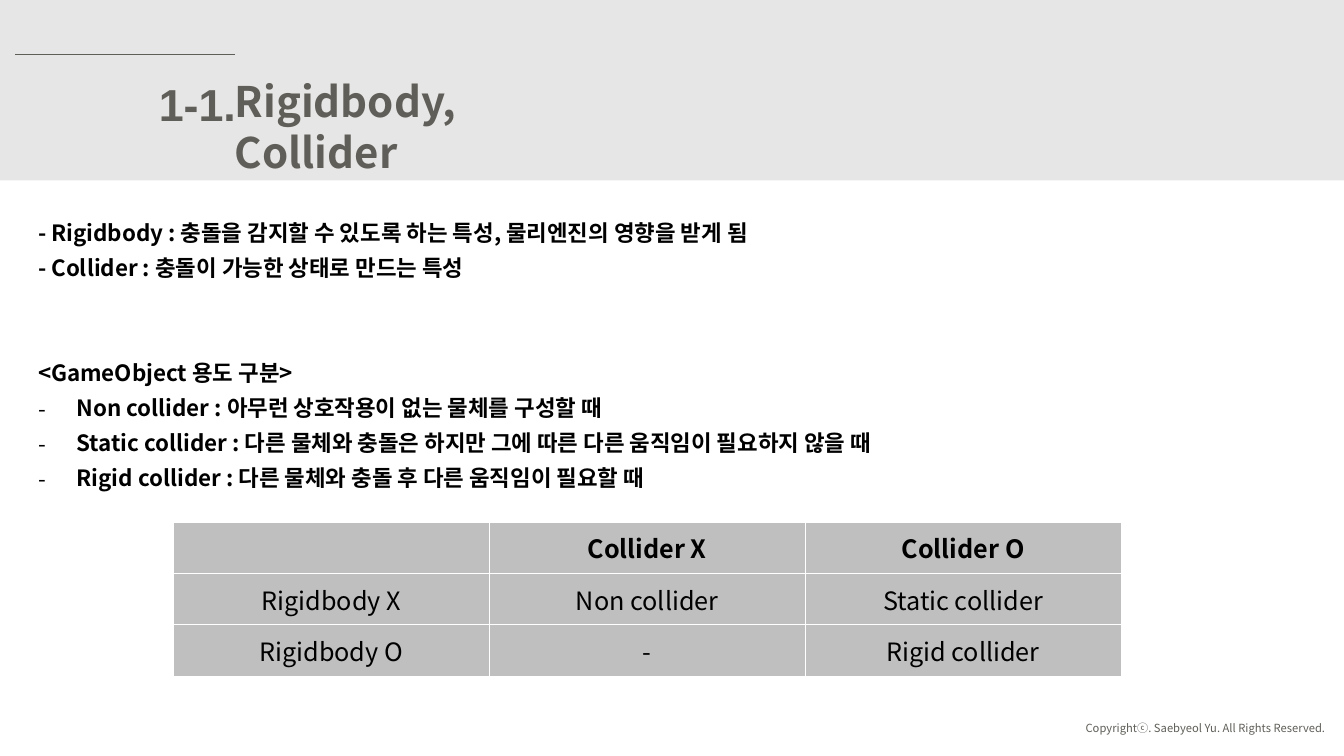
"""Builds the slide on Rigidbody and Collider."""
import pptx
import pptx.dml.color
import pptx.enum.shapes
import pptx.enum.text
import pptx.oxml
import pptx.oxml.ns
import pptx.util
from lxml import etree

Cm, Pt = pptx.util.Cm, pptx.util.Pt
RGBColor = pptx.dml.color.RGBColor
ALIGN = pptx.enum.text.PP_ALIGN
ANCHOR = pptx.enum.text.MSO_ANCHOR
AUTO_SIZE = pptx.enum.text.MSO_AUTO_SIZE
qn = pptx.oxml.ns.qn

HEADING = "Rigidbody, Collider"
NUMBER = "1-1."
COPYRIGHT = "Copyrightⓒ. Saebyeol Yu. All Rights Reserved."
DEFINITIONS = [
    "- Rigidbody : 충돌을 감지할 수 있도록 하는 특성, 물리엔진의 영향을 받게 됨",
    "- Collider : 충돌이 가능한 상태로 만드는 특성",
]
USES_HEADING = "<GameObject 용도 구분>"
USES = [
    "Non collider : 아무런 상호작용이 없는 물체를 구성할 때",
    "Static collider : 다른 물체와 충돌은 하지만 그에 따른 다른 움직임이 필요하지 않을 때",
    "Rigid collider : 다른 물체와 충돌 후 다른 움직임이 필요할 때",
]
MATRIX = [
    ["", "Collider X", "Collider O"],
    ["Rigidbody X", "Non collider", "Static collider"],
    ["Rigidbody O", "-", "Rigid collider"],
]

FONT = "Noto Sans CJK KR"
BLACK = RGBColor(0, 0, 0)
WHITE = RGBColor(0xFF, 0xFF, 0xFF)
STONE = RGBColor(0x5F, 0x5E, 0x58)
BAND_GRAY = RGBColor(0xE7, 0xE6, 0xE6)
CELL_GRAY = RGBColor(0xBF, 0xBF, 0xBF)
THIN, THICK = Pt(0.45), Pt(1.47)


def style(paragraph, size, color, align, bold=False, typeface=FONT):
    paragraph.alignment = align
    font = paragraph.font
    font.size, font.bold, font.name = Pt(size), bold, typeface
    font.color.rgb = color
    latin = paragraph._p.pPr.find(qn("a:defRPr")).find(qn("a:latin"))
    east_asian = etree.Element(qn("a:ea"), typeface=typeface)
    latin.addnext(east_asian)


def add_label(slide, text, box, wrap=False):
    frame = slide.shapes.add_textbox(*map(Cm, box)).text_frame
    frame.word_wrap = wrap
    frame.auto_size = AUTO_SIZE.SHAPE_TO_FIT_TEXT
    frame.text = text
    return frame


def add_dash(paragraph):
    properties = paragraph._p.get_or_add_pPr()
    color = etree.SubElement(properties, qn("a:buClr"))
    etree.SubElement(color, qn("a:srgbClr"), val=str(BLACK))
    etree.SubElement(properties, qn("a:buFont"), typeface=FONT)
    etree.SubElement(properties, qn("a:buChar"), char="-")


def add_borders(cell, top, bottom):
    properties = cell._tc.get_or_add_tcPr()
    for side, width in (("L", THIN), ("R", THIN), ("T", top), ("B", bottom)):
        border = etree.SubElement(properties, qn("a:ln" + side), w=str(int(width)))
        fill = etree.SubElement(border, qn("a:solidFill"))
        etree.SubElement(fill, qn("a:srgbClr"), val=str(WHITE))


def add_header(slide):
    band = slide.shapes.add_shape(
        pptx.enum.shapes.MSO_SHAPE.RECTANGLE, 0, 0, Cm(33.87), Cm(4.55))
    band.shadow.inherit = False
    band.fill.solid()
    band.fill.fore_color.rgb = BAND_GRAY
    band.line.fill.background()

    rule = slide.shapes.add_connector(
        pptx.enum.shapes.MSO_CONNECTOR.STRAIGHT, Cm(0.38), Cm(1.37), Cm(5.92), Cm(1.37))
    rule.line.color.rgb = STONE
    rule.line.width = Pt(0.5)
    etree.SubElement(rule._element.spPr, qn("a:effectLst"))

    number = add_label(slide, NUMBER, (3.2, 1.8, 3, 1.62))
    style(number.paragraphs[0], 32, STONE, ALIGN.RIGHT, True, "Arial")

    title = slide.shapes.title
    slide.shapes._spTree.append(title._element)
    title.left, title.top, title.width, title.height = map(Cm, (5.66, 1.78, 10.44, 1.52))
    frame = title.text_frame
    frame.text = HEADING
    frame.word_wrap = True
    frame.auto_size = AUTO_SIZE.NONE
    frame.vertical_anchor = ANCHOR.TOP
    style(frame.paragraphs[0], 30, STONE, ALIGN.LEFT, True)


def add_explanation(slide):
    lines = DEFINITIONS + [USES_HEADING] + USES
    frame = add_label(slide, "\n".join(lines), (0.71, 5.2, 33.15, 8.18), wrap=True)
    for paragraph, line in zip(frame.paragraphs, lines):
        properties = paragraph._p.get_or_add_pPr()
        properties.set("marL", str(Cm(0.97)))
        properties.set("indent", str(-Cm(0.97)))
        paragraph.line_spacing = 1.3
        if line == USES_HEADING:
            paragraph.space_before = Pt(50)
        if line in USES:
            add_dash(paragraph)
        style(paragraph, 16, BLACK, ALIGN.JUSTIFY, True)


def add_matrix(slide):
    rows, columns = len(MATRIX), len(MATRIX[0])
    matrix = slide.shapes.add_table(
        rows, columns, Cm(4.37), Cm(13.16), Cm(23.88), Cm(3.87)).table
    for r, row in enumerate(MATRIX):
        for c, text in enumerate(row):
            cell = matrix.cell(r, c)
            add_borders(cell, THICK if r == 1 else THIN, THICK if r == 0 else THIN)
            cell.fill.solid()
            cell.fill.fore_color.rgb = CELL_GRAY
            cell.vertical_anchor = ANCHOR.MIDDLE
            cell.text = text
            style(cell.text_frame.paragraphs[0], 18, BLACK, ALIGN.CENTER, r == 0)


def main():
    deck = pptx.Presentation()
    deck.slide_width, deck.slide_height = Cm(33.87), Cm(19.05)
    slide = deck.slides.add_slide(deck.slide_layouts[5])
    copyright_line = add_label(slide, COPYRIGHT, (27.03, 18.06, 6.63, 0.61))
    style(copyright_line.paragraphs[0], 8, STONE, ALIGN.RIGHT)
    add_header(slide)
    add_explanation(slide)
    add_matrix(slide)
    deck.save("out.pptx")


if __name__ == "__main__":
    main()
